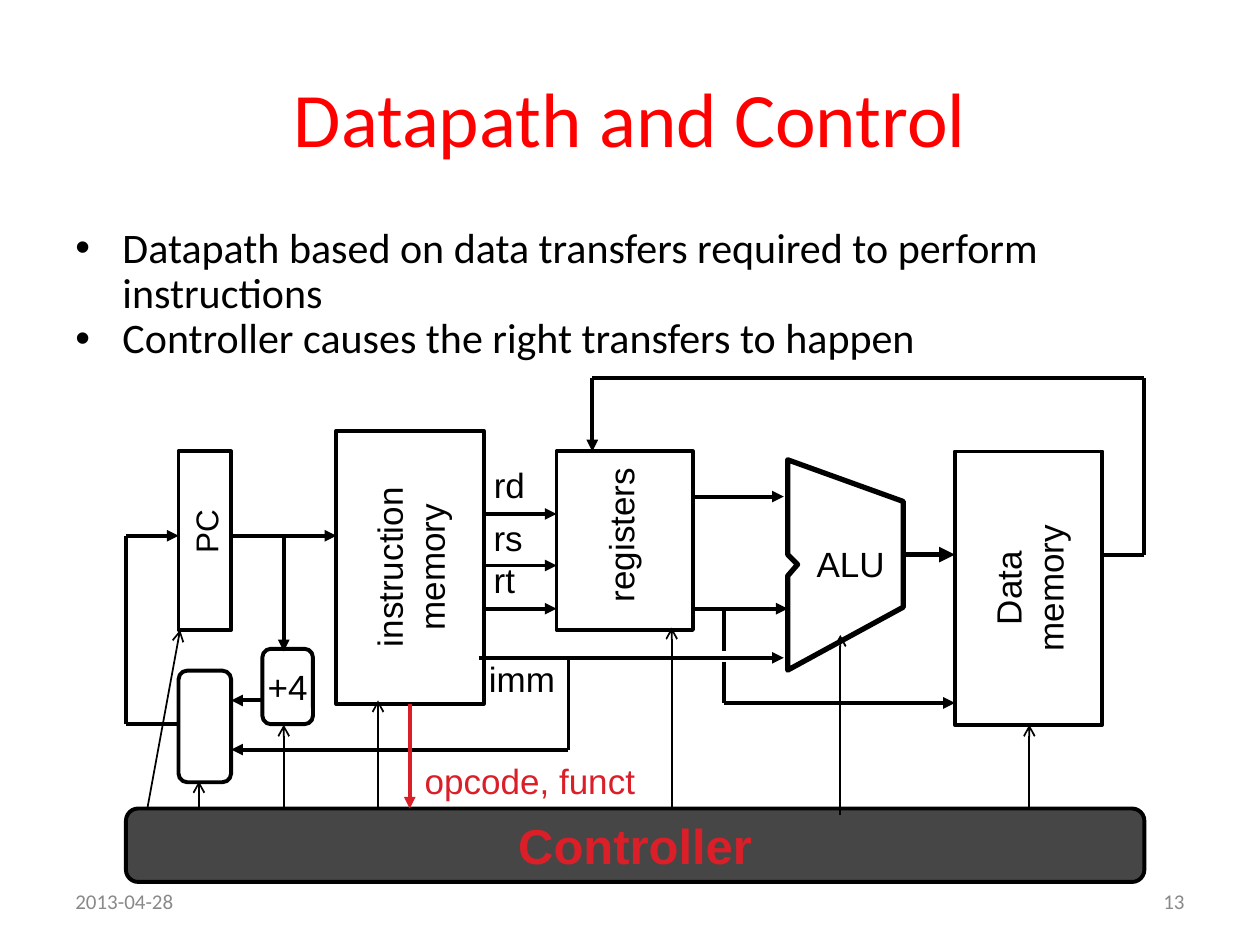
"""Build the datapath and control slide."""
from lxml import etree
from pptx import Presentation, util as u
from pptx.dml import color
from pptx.enum import shapes, text
from pptx.oxml import ns

BLACK, WHITE, RED, GREY = "000000", "FFFFFF", "DA1F28", "898989"
RECT, ROUND = shapes.MSO_SHAPE.RECTANGLE, shapes.MSO_SHAPE.ROUNDED_RECTANGLE
LEFT, CENTER, RIGHT = text.PP_ALIGN.LEFT, text.PP_ALIGN.CENTER, text.PP_ALIGN.RIGHT
TOP, MIDDLE = text.MSO_ANCHOR.TOP, text.MSO_ANCHOR.MIDDLE
LABEL = {"name": "Arial", "size": u.Pt(20)}

PAGE_TEXTS = [
    ((1.27, 0.76, 22.86, 3.18), ["Datapath and Control"], 44, "FF0000", CENTER, MIDDLE),
    ((1.27, 4.45, 22.86, 12.57),
     ["Datapath based on data transfers required to perform instructions",
      "Controller causes the right transfers to happen"], 24, BLACK, LEFT, TOP),
    ((1.27, 17.65, 5.93, 1.02), ["2013-04-28"], 12, GREY, LEFT, MIDDLE),
    ((18.2, 17.65, 5.93, 1.02), ["13"], 12, GREY, RIGHT, MIDDLE),
]
BOXES = [
    (RECT, (3.6, 9.1, 1.06, 3.6), [], False),
    (RECT, (6.78, 8.68, 2.97, 5.51), ["instruction", "memory"], True),
    (RECT, (11.22, 9.1, 2.75, 3.6), [], False),
    (RECT, (19.25, 9.1, 2.97, 5.51), ["Data", "memory"], True),
    (ROUND, (5.29, 13.08, 1.02, 1.52), ["+4"], False),
    (ROUND, (3.6, 13.52, 1.06, 2.25), [], False),
]
CONTROLLER = (2.54, 16.3, 20.53, 1.48)
ALU = [(15.88, 9.27), (18.21, 10.11), (18.21, 12.24), (15.88, 13.51),
       (15.88, 11.61), (16.08, 11.38), (15.88, 11.18)]
LABELS = [
    ("PC", (3.64, 10.02, 1.02, 1.4), True, {"size": u.Pt(18)}, BLACK),
    ("registers", (11.96, 9.17, 1.09, 3.23), True, {}, BLACK),
    ("rd", (9.7, 9.22, 1.14, 1.09), False, {}, BLACK),
    ("rs", (9.7, 10.29, 1.09, 1.09), False, {}, BLACK),
    ("rt", (9.7, 11.13, 0.94, 1.09), False, {}, BLACK),
    ("imm", (9.6, 13.13, 1.85, 1.09), False, {}, BLACK),
    ("ALU", (16.21, 10.82, 1.88, 1.09), False, {}, BLACK),
    ("opcode, funct", (8.31, 15.19, 4.75, 1.09), False, {}, RED),
]
ARROWS = [
    [(4.66, 10.8), (6.78, 10.8)],
    *[[(9.75, y), (11.22, y)] for y in (10.36, 11.4, 12.27)],
    [(13.97, 10.01), (15.8, 10.01)],
    [(13.97, 12.27), (15.88, 12.27)],
    [(9.65, 13.26), (15.8, 13.26)],
    [(14.6, 13.34), (14.6, 14.17), (19.25, 14.17)],
    [(22.22, 11.18), (23.06, 11.18), (23.06, 7.62), (11.94, 7.62), (11.94, 9.1)],
    [(5.72, 10.8), (5.72, 13.13)],
    [(5.29, 14.12), (4.66, 14.12)],
    [(11.46, 13.26), (11.46, 15.11), (4.66, 15.11)],
    [(3.6, 14.6), (2.54, 14.6), (2.54, 10.8), (3.6, 10.8)],
]
ALU_RESULT = [(18.21, 11.18), (19.25, 11.18)]
STORE_STUB = [(14.6, 12.27), (14.6, 13.13)]
OPCODE = [(8.26, 14.19), (8.26, 16.3)]
CONTROLS = [
    [(4.01, 16.3), (4.01, 15.75)],
    [(2.97, 16.3), (3.63, 12.7)],
    [(5.72, 16.3), (5.72, 14.61)],
    [(7.62, 16.3), (7.62, 14.12)],
    [(13.54, 16.3), (13.54, 12.65)],
    [(16.94, 16.43), (16.94, 12.8)],
    [(20.75, 16.33), (20.75, 14.61)],
]


def rgb(value):
    """Turn a hex string into a colour."""
    return color.RGBColor.from_string(value)


def assign(obj, values):
    """Set every attribute named in a dict."""
    for name, value in values.items():
        setattr(obj, name, value)


def place(box, upright):
    """Return lengths for a box, swapped about its centre if it is turned."""
    x, y, w, h = box
    if upright:
        x, y, w, h = x + (w - h) / 2, y + (h - w) / 2, h, w
    return [u.Cm(v) for v in (x, y, w, h)]


def write(s, lines, font, hue, align=CENTER, **frame):
    """Write one paragraph per line."""
    tf = s.text_frame
    assign(tf, {"word_wrap": False, "vertical_anchor": MIDDLE, **frame})
    for i, line in enumerate(lines):
        p = tf.add_paragraph() if i else tf.paragraphs[0]
        p.alignment = align
        r = p.add_run()
        r.text = line
        assign(r.font, font)
        r.font.color.rgb = rgb(hue)
    return tf


def paint(s, fill=WHITE, width=2.25):
    """Give a shape its fill and black outline."""
    s.shadow.inherit = False
    s.fill.solid()
    s.fill.fore_color.rgb = rgb(fill)
    s.line.color.rgb = rgb(BLACK)
    s.line.width = u.Pt(width)


def add_box(sp, kind, box, lines, upright=False, fill=WHITE, font=LABEL, hue=BLACK):
    """Add a block of the datapath."""
    s = sp.add_shape(kind, *place(box, upright))
    paint(s, fill)
    s.rotation = 270 if upright else 0
    if lines:
        write(s, lines, font, hue)
    return s, box, upright


def find_site(point, blocks):
    """Find the block and site whose side has its middle at a point."""
    for s, (x, y, w, h), upright in blocks:
        mids = [(x + w / 2, y), (x, y + h / 2), (x + w / 2, y + h), (x + w, y + h / 2)]
        for side, mid in enumerate(mids):
            if max(abs(a - b) for a, b in zip(point, mid)) < 0.06:
                return s, (side - 1) % 4 if upright else side
    return None


def add_wire(sp, points, blocks, head="triangle", width=2.25, hue=BLACK):
    """Add straight segments through the points, with a head on the last."""
    for start, end in zip(points, points[1:]):
        ends = [u.Cm(v) for v in start + end]
        c = sp.add_connector(shapes.MSO_CONNECTOR.STRAIGHT, *ends)
        for point, join in ((start, c.begin_connect), (end, c.end_connect)):
            site = find_site(point, blocks)
            if site:
                join(*site)
        assign(c, dict(zip(("begin_x", "begin_y", "end_x", "end_y"), ends)))
        c.line.color.rgb = rgb(hue)
        c.line.width = u.Pt(width)
        if head and end == points[-1]:
            etree.SubElement(c.line._get_or_add_ln(), ns.qn("a:tailEnd"), type=head)
        etree.SubElement(c._element.spPr, ns.qn("a:effectLst"))


def add_bullets(tf):
    """Turn the paragraphs of a frame into a bulleted list."""
    for p in tf.paragraphs:
        p.line_spacing = 0.9
        pr = p._p.get_or_add_pPr()
        indent = u.Cm(0.95)
        pr.set("marL", str(indent))
        pr.set("indent", str(-indent))
        etree.SubElement(pr, ns.qn("a:buFont"), typeface="Arial")
        etree.SubElement(pr, ns.qn("a:buChar"), char="•")


def main():
    """Build and save the slide."""
    prs = Presentation()
    assign(prs, {"slide_width": u.Cm(25.4), "slide_height": u.Cm(19.05)})
    sp = prs.slides.add_slide(prs.slide_layouts[6]).shapes
    for box, lines, size, hue, align, anchor in PAGE_TEXTS:
        s = sp.add_textbox(*place(box, False))
        tf = write(s, lines, {"name": "Calibri", "size": u.Pt(size)}, hue, align,
                   word_wrap=True, vertical_anchor=anchor)
        if len(lines) > 1:
            add_bullets(tf)
    blocks = [add_box(sp, *block) for block in BOXES]
    blocks.append(add_box(sp, ROUND, CONTROLLER, ["Controller"], fill="464646", hue=RED,
                          font={"name": "Arial", "size": u.Pt(28), "bold": True}))
    outline = [(u.Cm(x), u.Cm(y)) for x, y in ALU]
    builder = sp.build_freeform(*outline[0])
    builder.add_line_segments(outline[1:], close=True)
    paint(builder.convert_to_shape(), width=3)
    for points in ARROWS:
        add_wire(sp, points, blocks)
    add_wire(sp, ALU_RESULT, blocks, width=3)
    add_wire(sp, STORE_STUB, blocks, head=None)
    add_wire(sp, OPCODE, blocks, hue=RED)
    for points in CONTROLS:
        add_wire(sp, points, blocks, head="arrow", width=1)
    for label, box, upright, font, hue in LABELS:
        s = sp.add_textbox(*place(box, upright))
        s.rotation = 270 if upright else 0
        write(s, [label], {**LABEL, **font}, hue,
              auto_size=text.MSO_AUTO_SIZE.SHAPE_TO_FIT_TEXT)
    prs.save("out.pptx")


if __name__ == "__main__":
    main()
